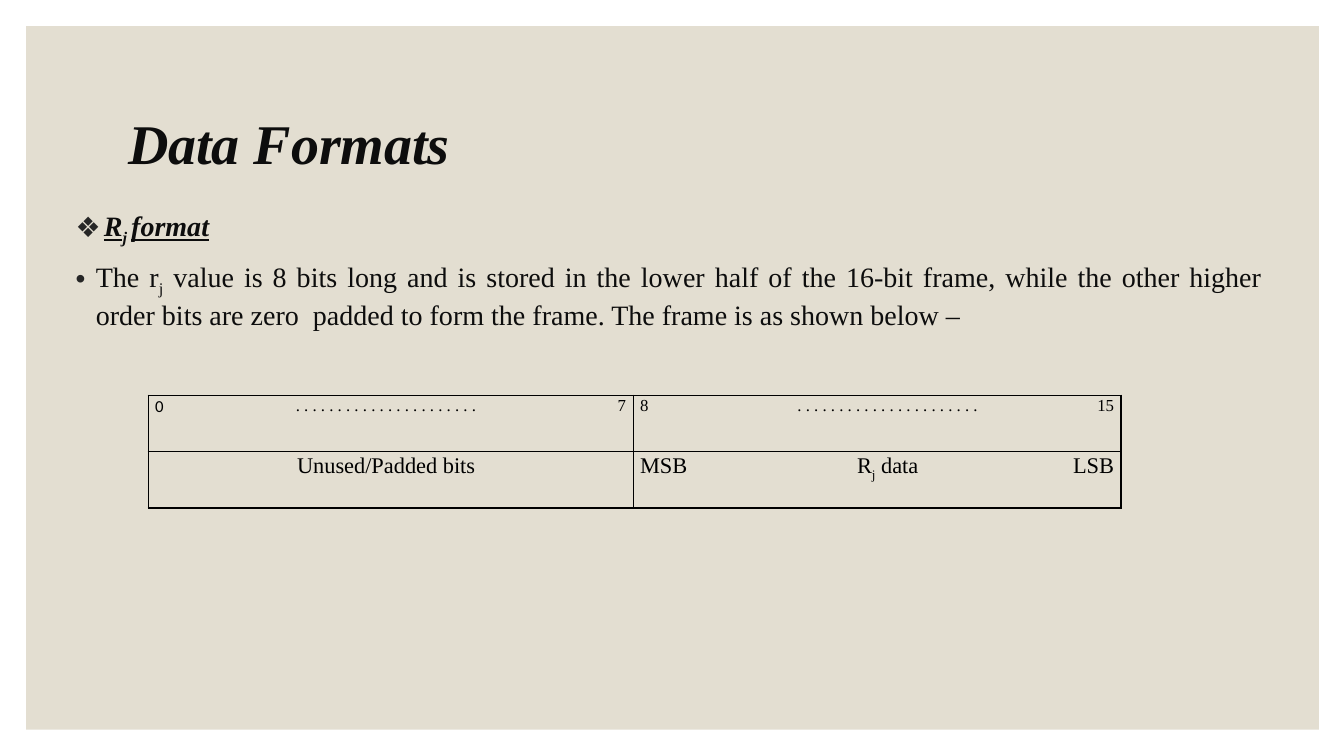
from pptx import Presentation
from pptx.dml.color import RGBColor
from pptx.enum.shapes import MSO_SHAPE
from pptx.enum.text import MSO_ANCHOR, MSO_AUTO_SIZE, PP_ALIGN
from pptx.oxml.ns import qn
from pptx.util import Inches, Pt
from lxml import etree

RECTANGLE = MSO_SHAPE.RECTANGLE
TOP, MIDDLE = MSO_ANCHOR.TOP, MSO_ANCHOR.MIDDLE
NO_AUTOFIT = MSO_AUTO_SIZE.NONE
LEFT, CENTER, RIGHT, JUSTIFY = PP_ALIGN.LEFT, PP_ALIGN.CENTER, PP_ALIGN.RIGHT, PP_ALIGN.JUSTIFY

BEIGE = RGBColor(0xE3, 0xDE, 0xD1)
INK = RGBColor(0x0D, 0x0D, 0x0D)
BULLET_GREY = RGBColor(0x26, 0x26, 0x26)
BLACK = RGBColor(0, 0, 0)

SERIF = "Times New Roman"
TITLE_FONT = {"name": SERIF, "size": Pt(40), "bold": True, "italic": True}
HEADING_FONT = {"name": SERIF, "size": Pt(20), "bold": True, "italic": True}
UNDERLINED = {**HEADING_FONT, "underline": True}
BODY_FONT = {"name": SERIF, "size": Pt(20), "bold": False, "italic": False}
ZERO_FONT = {"name": "Calibri", "size": Pt(12)}
BIT_FONT = {"name": SERIF, "size": Pt(12)}
FIELD_FONT = {"name": SERIF, "size": Pt(16)}

DOTS = " ".join("." * 22)
FIELD_ALIGNMENTS = (JUSTIFY, CENTER, RIGHT)
COLUMN_WIDTHS = (0.92, 2.88, 1.01, 1.13, 2.79, 0.92)
ROW_HEIGHT = 0.56
FRAME_ROWS = (
    (("0", DOTS, "7", "8", DOTS, "15"), BIT_FONT),
    (("", "Unused/Padded bits", "", "MSB", ("R", "j", " data"), "LSB"), FIELD_FONT),
)


def apply_format(target, values):
    for attribute, value in values.items():
        setattr(target, attribute, value)


def place(shape, left, top, width, height):
    apply_format(shape, {"left": Inches(left), "top": Inches(top),
                         "width": Inches(width), "height": Inches(height)})


def add_run(paragraph, text, font_values, color, subscript=False):
    run = paragraph.add_run()
    run.text = text
    apply_format(run.font, font_values)
    run.font.color.rgb = color
    if subscript:
        run.font._element.set("baseline", "-25000")


def add_solid_fill(parent, color):
    fill = etree.SubElement(parent, qn("a:solidFill"))
    etree.SubElement(fill, qn("a:srgbClr"), val=str(color))


def set_bullet(paragraph, character, indent):
    properties = paragraph._p.get_or_add_pPr()
    properties.set("marL", str(Inches(indent)))
    properties.set("indent", str(-Inches(indent)))
    add_solid_fill_parent = etree.SubElement(properties, qn("a:buClr"))
    etree.SubElement(add_solid_fill_parent, qn("a:srgbClr"), val=str(BULLET_GREY))
    etree.SubElement(properties, qn("a:buChar"), char=character)


def add_background_panel(slide):
    panel = slide.shapes.add_shape(RECTANGLE, Inches(0.26), Inches(0.26),
                                   Inches(12.82), Inches(6.98))
    panel.shadow.inherit = False
    panel.fill.solid()
    panel.fill.fore_color.rgb = BEIGE
    panel.line.fill.background()
    slide.shapes._spTree.insert(2, panel._element)


def fill_title(title):
    place(title, 1.17, 0.7, 11, 1.5)
    apply_format(title.text_frame, {"auto_size": NO_AUTOFIT, "vertical_anchor": MIDDLE})
    heading = title.text_frame.paragraphs[0]
    apply_format(heading, {"alignment": LEFT, "line_spacing": 0.9})
    add_run(heading, "Data Formats", TITLE_FONT, INK)


def fill_body(body):
    place(body, 0.65, 2.02, 11.97, 4.45)
    frame = body.text_frame
    apply_format(frame, {"auto_size": NO_AUTOFIT, "vertical_anchor": TOP})

    heading = frame.paragraphs[0]
    set_bullet(heading, "❖", 0.28)
    apply_format(heading, {"alignment": LEFT, "space_before": Pt(0)})
    add_run(heading, "R", UNDERLINED, INK)
    add_run(heading, "j ", HEADING_FONT, INK, subscript=True)
    add_run(heading, "format", UNDERLINED, INK)

    description = frame.add_paragraph()
    set_bullet(description, "•", 0.2)
    apply_format(description, {"alignment": JUSTIFY, "space_before": Pt(9)})
    add_run(description, "The r", BODY_FONT, INK)
    add_run(description, "j", BODY_FONT, INK, subscript=True)
    add_run(description, " value is 8 bits long and is stored in the lower half of the "
            "16-bit frame, while the other higher order bits are zero  padded to form "
            "the frame. The frame is as shown below –", BODY_FONT, INK)


def set_borders(cell, visible_sides):
    properties = cell._tc.get_or_add_tcPr()
    for side in "LRTB":
        border = etree.SubElement(properties, qn(f"a:ln{side}"), w=str(Pt(1)))
        if side in visible_sides:
            add_solid_fill(border, BLACK)
        else:
            etree.SubElement(border, qn("a:noFill"))


def fill_cell(cell, content, font_values, position):
    set_borders(cell, ("LTB", "TB", "RTB")[position])
    cell.fill.background()
    apply_format(cell, {"margin_left": Inches(0.07), "margin_right": Inches(0.07),
                        "margin_top": 0, "margin_bottom": 0})
    paragraph = cell.text_frame.paragraphs[0]
    apply_format(paragraph, {"alignment": FIELD_ALIGNMENTS[position], "line_spacing": 1.07})
    parts = (content,) if isinstance(content, str) else content
    for index, part in enumerate(parts):
        if part:
            add_run(paragraph, part, font_values, BLACK, subscript=index == 1)


def add_frame_table(slide):
    table = slide.shapes.add_table(
        len(FRAME_ROWS), len(COLUMN_WIDTHS), Inches(1.47), Inches(3.92),
        Inches(sum(COLUMN_WIDTHS)), Inches(ROW_HEIGHT * len(FRAME_ROWS))).table
    apply_format(table, {"first_row": False, "horz_banding": False})
    for column, width in zip(table.columns, COLUMN_WIDTHS):
        column.width = Inches(width)
    for row, (contents, row_font) in zip(table.rows, FRAME_ROWS):
        row.height = Inches(ROW_HEIGHT)
        for index, (cell, content) in enumerate(zip(row.cells, contents)):
            font_values = ZERO_FONT if content == "0" else row_font
            fill_cell(cell, content, font_values, index % 3)


def main():
    presentation = Presentation()
    presentation.slide_width = Inches(13.33)
    presentation.slide_height = Inches(7.5)
    slide = presentation.slides.add_slide(presentation.slide_layouts[1])
    add_background_panel(slide)
    fill_title(slide.shapes.title)
    fill_body(slide.placeholders[1])
    add_frame_table(slide)
    presentation.save("out.pptx")


if __name__ == "__main__":
    main()
